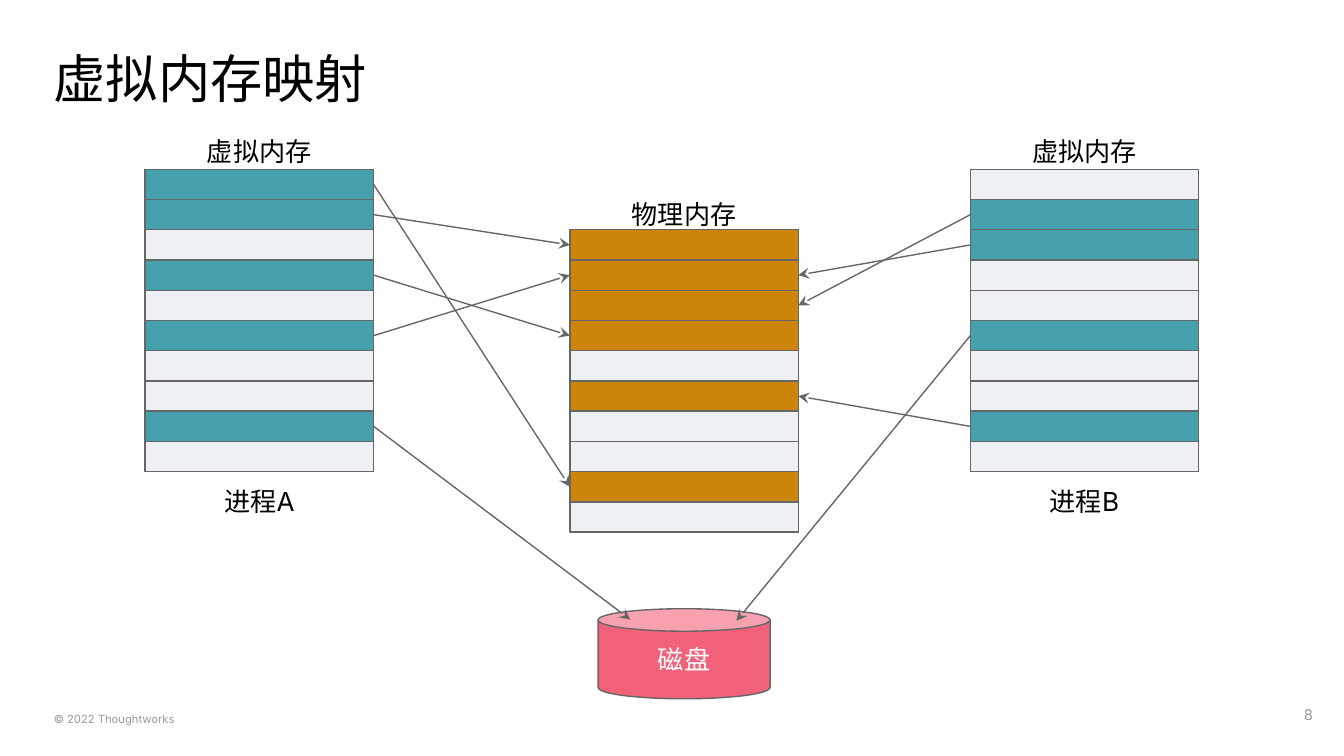
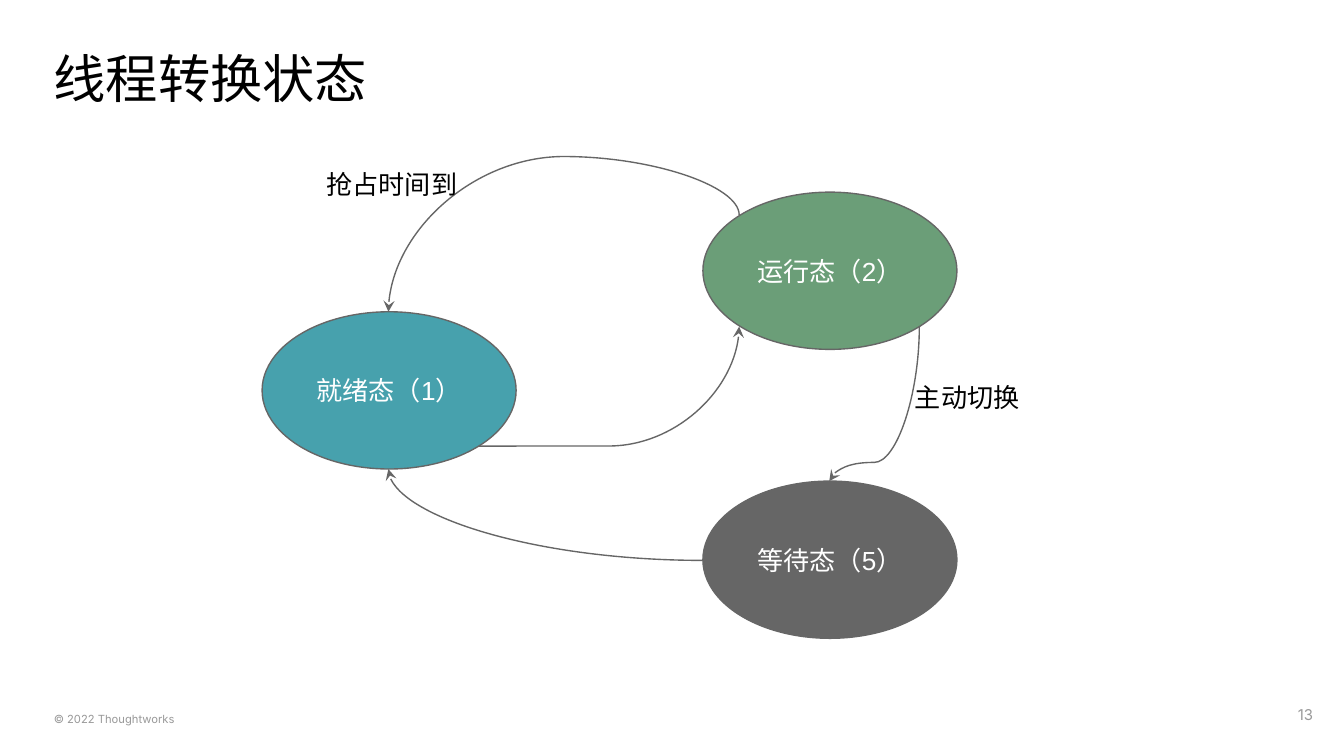
from lxml import etree
from pptx import Presentation
from pptx.dml.color import RGBColor
from pptx.enum.shapes import MSO_CONNECTOR, MSO_SHAPE
from pptx.enum.text import MSO_ANCHOR, MSO_AUTO_SIZE, PP_ALIGN
from pptx.oxml.ns import qn
from pptx.util import Inches, Pt

RECTANGLE, CAN, OVAL = MSO_SHAPE.RECTANGLE, MSO_SHAPE.CAN, MSO_SHAPE.OVAL
STRAIGHT, CURVE = MSO_CONNECTOR.STRAIGHT, MSO_CONNECTOR.CURVE
LEFT, CENTER, RIGHT = PP_ALIGN.LEFT, PP_ALIGN.CENTER, PP_ALIGN.RIGHT
TOP, MIDDLE, BOTTOM = MSO_ANCHOR.TOP, MSO_ANCHOR.MIDDLE, MSO_ANCHOR.BOTTOM
FIXED, GROW = MSO_AUTO_SIZE.NONE, MSO_AUTO_SIZE.SHAPE_TO_FIT_TEXT
LEFT_SIDE, RIGHT_SIDE = 1, 3

COLORS = {
    "black": "000000", "white": "FFFFFF", "muted": "999999", "gray": "666666",
    "free": "EDF1F3", "teal": "47A1AD", "amber": "CC850A", "pink": "F2617A",
    "green": "6B9E78",
}
STYLES = {
    "title": dict(size=28, name="Noto Sans CJK SC", color="black"),
    "copyright": dict(size=6, name="Inter", color="muted"),
    "number": dict(size=8, name="Inter", color="muted"),
    "label": dict(size=14, name="Inter", color="black"),
    "shape": dict(size=14, name="Arial", color="white"),
}
COPYRIGHT = "© 2022 Thoughtworks"
TITLE_BOX = (0.4, 0.4, 9.19, 0.63)
COPYRIGHT_BOX = (0.4, 5.21, 4.31, 0.19)
NUMBER_BOX = (9.27, 5.1, 0.6, 0.43)

STACK_WIDTH, PAGE_HEIGHT, PAGE_COUNT = 1.7, 0.225, 10
LABEL_WIDTH, LABEL_HEIGHT = 1.08, 0.44
MEMORIES = {
    "A": dict(at=(1.08, 1.26), used={0, 1, 3, 5, 8}, color="teal",
              heading="虚拟内存", gap=0.35, caption="进程A"),
    "physical": dict(at=(4.24, 1.71), used={0, 1, 2, 3, 5, 8}, color="amber",
                     heading="物理内存", gap=0.33, caption=None),
    "B": dict(at=(7.22, 1.26), used={1, 2, 5, 8}, color="teal",
              heading="虚拟内存", gap=0.35, caption="进程B"),
}
DISK = ("磁盘", (4.45, 4.53, 1.28, 0.67))
PAGE_MAPPINGS = [
    ("A", 0, 8), ("A", 1, 0), ("A", 3, 3), ("A", 5, 1),
    ("B", 1, 2), ("B", 2, 1), ("B", 8, 5),
]
DISK_MAPPINGS = [("A", 8, (4.69, 4.61)), ("B", 5, (5.48, 4.62))]

STATE_SIZE = (1.89, 1.17)
STATES = [
    ("运行态（2）", (5.23, 1.43), "green"),
    ("就绪态（1）", (1.95, 2.32), "teal"),
    ("等待态（5）", (5.23, 3.58), "gray"),
]
TRANSITIONS = [
    ((5.5, 1.6), (2.89, 2.32), "curvedConnector3", -60500, "tailEnd"),
    ((3.56, 3.32), (5.5, 2.43), "curvedConnector3", 200, "tailEnd"),
    ((2.89, 3.49), (5.23, 4.17), "curvedConnector2", None, "headEnd"),
    ((6.84, 2.43), (6.17, 3.58), "curvedConnector3", 87900, "tailEnd"),
]
TRANSITION_LABELS = [("抢占时间到", (2.33, 1.15)), ("主动切换", (6.71, 2.74))]


def color(name):
    return RGBColor.from_string(COLORS[name])


def inches(values):
    return [Inches(value) for value in values]


def write(shape, text, style, align=LEFT, anchor=TOP, inset=0.1,
          auto_size=FIXED):
    frame = shape.text_frame
    settings = {"word_wrap": True, "vertical_anchor": anchor,
                "auto_size": auto_size}
    for side in ("left", "right", "top", "bottom"):
        settings[f"margin_{side}"] = Inches(inset)
    for name, value in settings.items():
        setattr(frame, name, value)
    paragraph = frame.paragraphs[0]
    paragraph.alignment = align
    run = paragraph.add_run()
    run.text = text
    look = STYLES[style]
    run.font.size = Pt(look["size"])
    run.font.name = look["name"]
    run.font.color.rgb = color(look["color"])
    east_asian = etree.SubElement(run._r.get_or_add_rPr(), qn("a:ea"))
    east_asian.set("typeface", look["name"])
    return paragraph


def add_text(slide, box, text, style, **layout):
    shape = slide.shapes.add_textbox(*inches(box))
    write(shape, text, style, **layout)


def add_filled(slide, kind, box, fill, text=None):
    shape = slide.shapes.add_shape(kind, *inches(box))
    shape.shadow.inherit = False
    shape.fill.solid()
    shape.fill.fore_color.rgb = color(fill)
    shape.line.color.rgb = color("gray")
    shape.line.width = Pt(0.75)
    if text:
        write(shape, text, "shape", align=CENTER, anchor=MIDDLE)
    return shape


def add_arrow(slide, kind, begin, end, arrow_end="tailEnd"):
    connector = slide.shapes.add_connector(kind, *inches(begin + end))
    connector.line.color.rgb = color("gray")
    connector.line.width = Pt(0.75)
    arrow = etree.SubElement(connector.line._get_or_add_ln(),
                             qn(f"a:{arrow_end}"))
    arrow.set("type", "stealth")
    etree.SubElement(connector._element.spPr, qn("a:effectLst"))
    return connector


def add_curve(slide, begin, end, preset, bend, arrow_end):
    (x1, y1), (x2, y2) = begin, end
    width, height = abs(y2 - y1), abs(x2 - x1)
    left, top = (x1 + x2 - width) / 2, (y1 + y2 - height) / 2
    connector = add_arrow(slide, CURVE, (left, top),
                          (left + width, top + height), arrow_end)
    properties = connector._element.spPr
    transform = properties.find(qn("a:xfrm"))
    transform.set("rot", str((90 if x1 > x2 else 270) * 60000))
    if x1 < x2 and y1 < y2:
        transform.set("flipH", "1")
    geometry = properties.find(qn("a:prstGeom"))
    geometry.set("prst", preset)
    if bend is not None:
        adjustments = geometry.find(qn("a:avLst"))
        if adjustments is None:
            adjustments = etree.SubElement(geometry, qn("a:avLst"))
        guide = etree.SubElement(adjustments, qn("a:gd"))
        guide.set("name", "adj1")
        guide.set("fmla", f"val {bend}")


def add_titled_slide(presentation, title, number):
    slide = presentation.slides.add_slide(presentation.slide_layouts[5])
    placeholder = slide.shapes.title
    for name, value in zip(("left", "top", "width", "height"), TITLE_BOX):
        setattr(placeholder, name, Inches(value))
    paragraph = write(placeholder, title, "title", inset=0)
    paragraph.line_spacing = 0.9
    add_text(slide, COPYRIGHT_BOX, COPYRIGHT, "copyright", anchor=BOTTOM,
             inset=0)
    add_text(slide, NUMBER_BOX, number, "number", align=RIGHT, anchor=MIDDLE)
    return slide


def add_memory(slide, memory):
    left, top = memory["at"]
    stack_height = PAGE_COUNT * PAGE_HEIGHT
    add_filled(slide, RECTANGLE, (left, top, STACK_WIDTH, stack_height), "free")
    pages = []
    for index in range(PAGE_COUNT):
        fill = memory["color"] if index in memory["used"] else "free"
        box = (left, top + index * PAGE_HEIGHT, STACK_WIDTH, PAGE_HEIGHT)
        pages.append(add_filled(slide, RECTANGLE, box, fill))
    label_left = left + (STACK_WIDTH - LABEL_WIDTH) / 2
    for text, label_top in ((memory["heading"], top - memory["gap"]),
                            (memory["caption"], top + stack_height)):
        if text:
            add_text(slide, (label_left, label_top, LABEL_WIDTH, LABEL_HEIGHT),
                     text, "label", align=CENTER, auto_size=GROW)
    return pages


def build_memory_slide(presentation):
    slide = add_titled_slide(presentation, "虚拟内存映射", "8")
    disk_text, disk_box = DISK
    add_filled(slide, CAN, disk_box, "pink", disk_text)
    pages = {name: add_memory(slide, memory)
             for name, memory in MEMORIES.items()}
    sides = {"A": (RIGHT_SIDE, LEFT_SIDE), "B": (LEFT_SIDE, RIGHT_SIDE)}
    for process, page, frame in PAGE_MAPPINGS:
        begin_side, end_side = sides[process]
        connector = add_arrow(slide, STRAIGHT, (0, 0), (1, 1))
        connector.begin_connect(pages[process][page], begin_side)
        connector.end_connect(pages["physical"][frame], end_side)
    for process, page, target in DISK_MAPPINGS:
        connector = add_arrow(slide, STRAIGHT, (0, 0), target)
        connector.begin_connect(pages[process][page], sides[process][0])


def build_state_slide(presentation):
    slide = add_titled_slide(presentation, "线程转换状态", "13")
    for text, position, fill in STATES:
        add_filled(slide, OVAL, position + STATE_SIZE, fill, text)
    for transition in TRANSITIONS:
        add_curve(slide, *transition)
    for text, position in TRANSITION_LABELS:
        add_text(slide, position + (1.34, LABEL_HEIGHT), text, "label",
                 auto_size=GROW)


def main():
    presentation = Presentation()
    presentation.slide_width = Inches(10)
    presentation.slide_height = Inches(5.625)
    build_memory_slide(presentation)
    build_state_slide(presentation)
    presentation.save("out.pptx")


if __name__ == "__main__":
    main()
